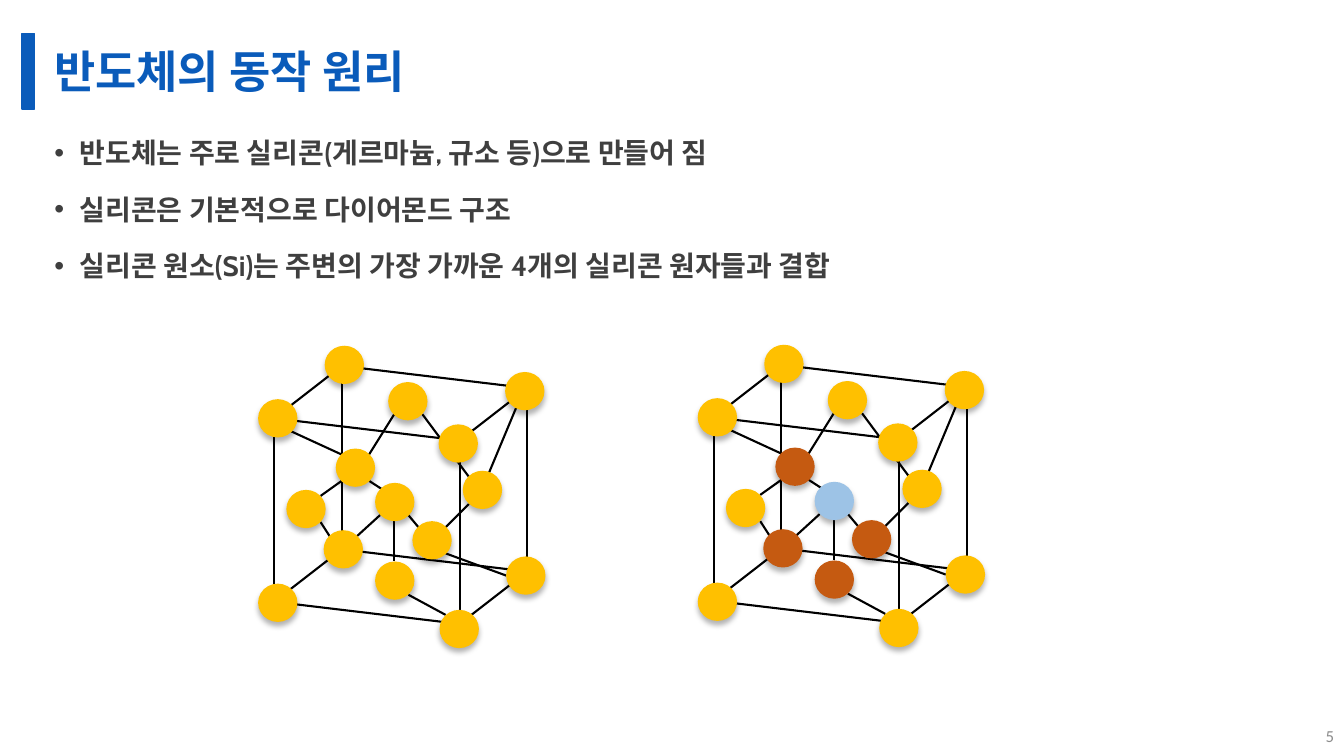
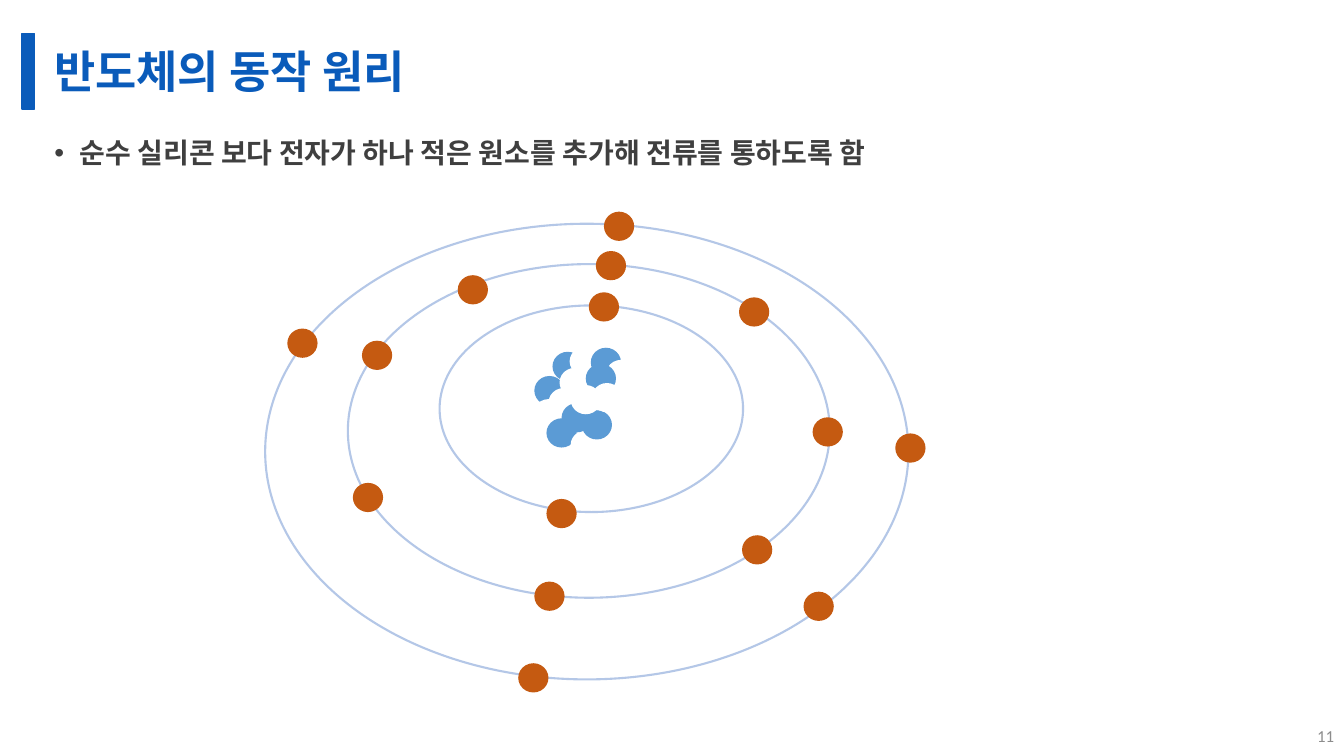
from itertools import combinations, product

from lxml import etree
from pptx import Presentation
from pptx.dml.color import RGBColor
from pptx.enum import shapes, text
from pptx.oxml import ns
from pptx.util import Inches, Pt

BLUE, DARK, GREY = "0A5BBA", "3F3F3F", "8C8C8C"
BLACK, WHITE, YELLOW, BROWN = "000000", "FFFFFF", "FFC000", "C55A11"
SKY, NUCLEON, ORBIT = "9DC3E6", "5B9BD5", "B4C7E7"
TITLE = "반도체의 동작 원리"
ATOM_SIZE = (0.39, 0.38)
PARTICLE_SIZE = (0.3, 0.29)

OUTER_ATOMS = [
    (2.56, 3.96), (3.22, 3.43), (4.36, 6.05), (5.02, 5.52), (2.56, 5.79),
    (5.01, 3.69), (3.85, 3.79), (2.84, 4.86), (4.59, 4.67), (4.35, 4.21),
]
NEIGHBOUR_ATOMS = [(3.21, 5.26), (3.33, 4.45), (4.09, 5.17), (3.72, 5.57)]
CENTRE_ATOM = (3.72, 4.79)
BONDS = [
    (5.13, 4.02, 4.85, 4.69), (2.89, 4.28, 3.39, 4.51),
    (3.91, 4.11, 3.66, 4.51), (3.39, 4.77, 3.18, 4.92),
    (3.83, 4.88, 3.66, 4.77), (3.77, 5.11, 3.54, 5.32),
    (3.27, 5.32, 3.18, 5.18), (4.05, 5.11, 4.15, 5.23),
    (4.19, 4.11, 4.65, 4.73), (4.65, 5.0, 4.42, 5.23),
    (3.91, 5.17, 3.91, 5.57), (5.02, 5.71, 4.42, 5.49),
    (4.42, 6.1, 4.05, 5.9),
]
NUCLEUS = [
    (5.37, 3.59, WHITE), (5.3, 3.73, NUCLEON), (5.48, 3.49, NUCLEON),
    (5.29, 3.96, WHITE), (5.65, 3.44, WHITE), (5.86, 3.45, NUCLEON),
    (5.94, 4.2, WHITE), (5.42, 4.15, NUCLEON), (5.66, 4.27, WHITE),
    (6.05, 4.01, WHITE), (6.09, 3.8, WHITE), (6.01, 3.57, WHITE),
    (5.44, 3.85, WHITE), (5.57, 4.0, NUCLEON), (5.77, 4.07, NUCLEON),
    (5.55, 3.65, WHITE), (5.81, 3.61, NUCLEON), (5.87, 3.8, WHITE),
    (5.66, 3.82, WHITE),
]
ORBITS = [
    (4.36, 3.03, 3.01, 2.05), (3.45, 2.62, 4.78, 3.31),
    (2.63, 2.22, 6.38, 4.52),
]
ELECTRONS = [
    (5.42, 4.95), (5.84, 2.9), (5.91, 2.49), (5.99, 2.1), (5.3, 5.77),
    (5.14, 6.58), (7.36, 5.31), (8.06, 4.14), (8.88, 4.3), (7.33, 2.95),
    (3.59, 3.38), (2.85, 3.26), (3.5, 4.79), (4.54, 2.73), (7.97, 5.87),
]


def color(value):
    """Turn a hex string into a colour."""
    return RGBColor.from_string(value)


def add_figure(parent, kind, at, fill=None, line=None, width=1.5):
    """Add a preset shape without its default shadow."""
    figure = parent.shapes.add_shape(kind, *map(Inches, at))
    figure.shadow.inherit = False
    if fill:
        figure.fill.solid()
        figure.fill.fore_color.rgb = color(fill)
    else:
        figure.fill.background()
    if line:
        figure.line.color.rgb = color(line)
        figure.line.width = Pt(width)
    else:
        figure.line.fill.background()
    return figure


def add_ball(parent, left, top, size, fill):
    """Add a filled circle without an outline."""
    return add_figure(parent, shapes.MSO_SHAPE.OVAL, (left, top, *size), fill)


def add_atom(parent, left, top, fill):
    """Add a ball with a soft shadow below it."""
    atom = add_ball(parent, left, top, ATOM_SIZE, fill)
    effects = atom.element.spPr.find(ns.qn("a:effectLst"))
    shadow = etree.SubElement(effects, ns.qn("a:outerShdw"), blurRad=str(Pt(4)),
                              dist=str(Pt(3)), dir="5400000", rotWithShape="0")
    tint = etree.SubElement(shadow, ns.qn("a:srgbClr"), val=BLACK)
    etree.SubElement(tint, ns.qn("a:alpha"), val="30000")


def add_line(parent, x1, y1, x2, y2):
    """Add a straight black line."""
    line = parent.shapes.add_connector(
        shapes.MSO_CONNECTOR.STRAIGHT, *map(Inches, (x1, y1, x2, y2)))
    line.line.color.rgb = color(BLACK)
    line.line.width = Pt(1.5)
    etree.SubElement(line.element.spPr, ns.qn("a:effectLst"))


def add_text_frame(page, at, anchor):
    """Add a wrapping text box and return its frame."""
    frame = page.shapes.add_textbox(*map(Inches, at)).text_frame
    frame.word_wrap = True
    frame.vertical_anchor = anchor
    return frame


def add_span(para, words, size, font, fill, bold=False):
    """Add one formatted run to a paragraph."""
    span = para.add_run()
    span.text = words
    span.font.size = Pt(size)
    span.font.name = font
    span.font.bold = bold
    span.font.color.rgb = color(fill)


def add_bullets(page, lines):
    """Add the bulleted statements under the title."""
    frame = add_text_frame(page, (0.44, 1.25, 12.45, 5.92), text.MSO_ANCHOR.TOP)
    for index, words in enumerate(lines):
        para = frame.add_paragraph() if index else frame.paragraphs[0]
        para.line_spacing = 1.14
        para.space_before, para.space_after = Pt(10), Pt(3)
        props = para._p.get_or_add_pPr()
        props.set("marL", str(Inches(0.25)))
        props.set("indent", str(Inches(-0.25)))
        etree.SubElement(props, ns.qn("a:buFont"), typeface="Arial")
        etree.SubElement(props, ns.qn("a:buChar"), char="•")
        add_span(para, words, 20, "Cabin", DARK, True)


def add_page(deck, number, lines):
    """Add a page with its band, title, bullets and page number."""
    page = deck.slides.add_slide(deck.slide_layouts[6])
    add_figure(page, shapes.MSO_SHAPE.RECTANGLE, (0.22, 0.33, 0.12, 0.75),
               BLUE, BLUE, 1)
    title = add_text_frame(page, (0.44, 0.33, 12.45, 0.75), text.MSO_ANCHOR.MIDDLE)
    title.margin_bottom = 0
    title.paragraphs[0].line_spacing = 0.9
    add_span(title.paragraphs[0], TITLE, 32, "Roboto", BLUE, True)
    add_bullets(page, lines)
    footer = add_text_frame(page, (12.89, 7.1, 0.44, 0.4), text.MSO_ANCHOR.MIDDLE)
    footer.paragraphs[0].alignment = text.PP_ALIGN.RIGHT
    add_span(footer.paragraphs[0], str(number), 12, "Calibri", GREY)
    return page


def cube_corner(right, down, back):
    """Place a cube corner from its three unit coordinates."""
    return (2.72 + 1.84 * right + 0.67 * back,
            4.15 + 0.22 * right + 1.82 * down - 0.52 * back)


def add_lattice(page, dx, dy, neighbour_fill, centre_fill):
    """Draw a diamond lattice moved by the given offset."""
    lattice = page.shapes.add_group_shape()
    edges = [(*cube_corner(*start), *cube_corner(*end))
             for start, end in combinations(product((0, 1), repeat=3), 2)
             if sum(a != b for a, b in zip(start, end)) == 1]
    for x1, y1, x2, y2 in edges + BONDS:
        add_line(lattice, x1 + dx, y1 + dy, x2 + dx, y2 + dy)
    for atoms, fill in ((OUTER_ATOMS, YELLOW), (NEIGHBOUR_ATOMS, neighbour_fill),
                        ([CENTRE_ATOM], centre_fill)):
        for left, top in atoms:
            add_atom(lattice, left + dx, top + dy, fill)


def add_electron_shells(page):
    """Draw the nucleus, its orbits and the electrons on them."""
    nucleus = page.shapes.add_group_shape()
    for left, top, fill in NUCLEUS:
        add_ball(nucleus, left, top, PARTICLE_SIZE, fill)
    for at in ORBITS:
        add_figure(page, shapes.MSO_SHAPE.OVAL, at, line=ORBIT)
    for left, top in ELECTRONS:
        add_ball(page, left, top, PARTICLE_SIZE, BROWN)


def main():
    """Build and save the deck."""
    deck = Presentation()
    deck.slide_width, deck.slide_height = Inches(13.33), Inches(7.5)
    page = add_page(deck, 5, [
        "반도체는 주로 실리콘(게르마늄, 규소 등)으로 만들어 짐",
        "실리콘은 기본적으로 다이어몬드 구조",
        "실리콘 원소(Si)는 주변의 가장 가까운 4개의 실리콘 원자들과 결합",
    ])
    add_lattice(page, 0, 0, YELLOW, YELLOW)
    add_lattice(page, 4.36, -0.01, BROWN, SKY)
    page = add_page(deck, 11, [
        "순수 실리콘 보다 전자가 하나 적은 원소를 추가해 전류를 통하도록 함",
    ])
    add_electron_shells(page)
    deck.save("out.pptx")


if __name__ == "__main__":
    main()
